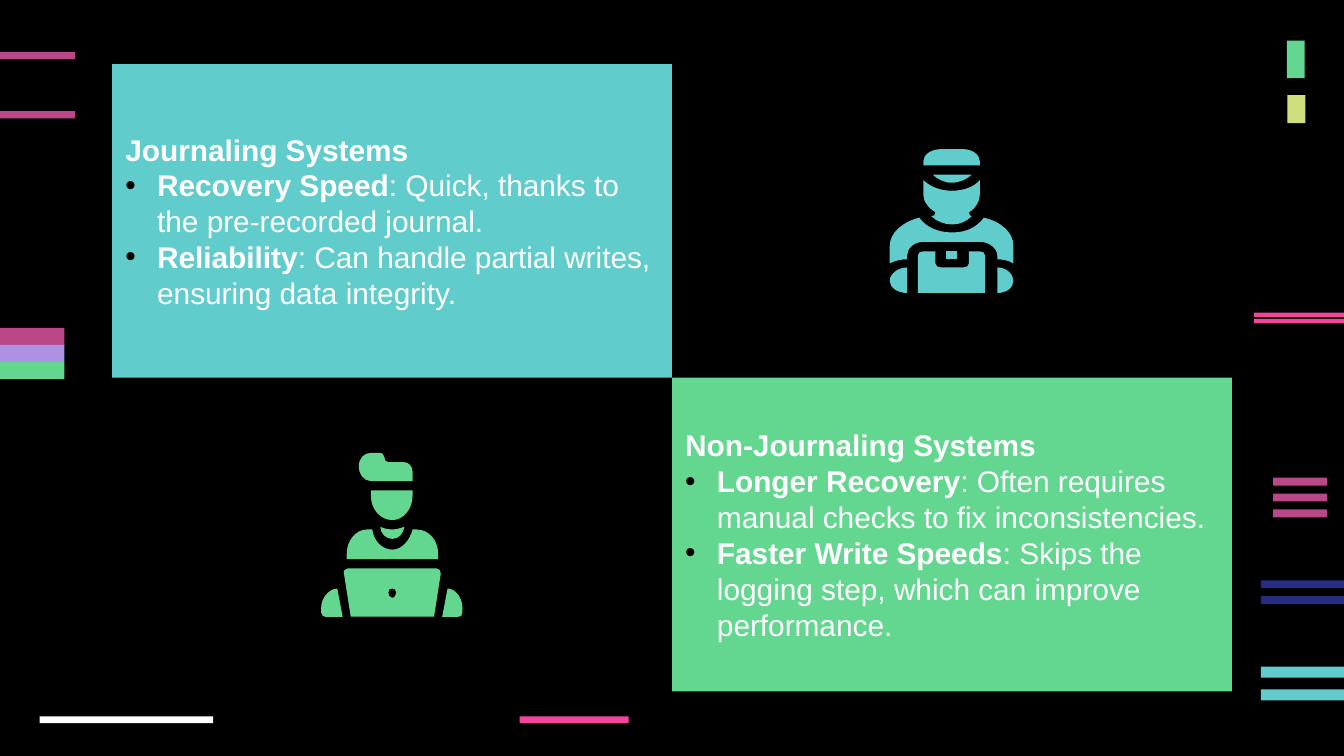
from lxml.etree import SubElement
from pptx import Presentation
from pptx.dml.color import RGBColor
from pptx.enum.shapes import MSO_SHAPE as Preset
from pptx.enum.text import MSO_ANCHOR as Anchor, MSO_AUTO_SIZE as AutoSize
from pptx.oxml.ns import qn
from pptx.util import Cm, Pt

BLACK, WHITE = "000000", "FFFFFF"
TEAL, GREEN, PLUM, PINK = "60CCCB", "63D790", "BA4888", "F6439D"
LILAC, LIME, NAVY = "AC91E5", "D0DF7E", "272B82"

PANEL_WIDTH, PANEL_HEIGHT = 10.58, 5.93
ICON_UNIT = Cm(0.0254)

STRIPES = [
    (24.06, 9.03, 1.02, 0.15, 0.3, [PLUM] * 3),
    (0, 0.98, 1.42, 0.14, 1.12, [PLUM] * 2),
    (9.82, 13.54, 2.06, 0.13, 0, [PINK]),
    (23.83, 12.6, 1.57, 0.21, 0.43, [TEAL] * 2),
    (0, 6.2, 1.22, 0.33, 0.32, [PLUM, LILAC, GREEN]),
    (24.32, 0.77, 0.34, 0.71, 0, [GREEN]),
    (24.33, 1.8, 0.34, 0.53, 0, [LIME]),
    (23.7, 5.91, 1.7, 0.08, 0.12, [PINK] * 2),
    (23.83, 10.97, 1.57, 0.15, 0.3, [NAVY] * 2),
    (0.75, 13.54, 3.28, 0.13, 0, [WHITE]),
]

PANELS = [
    (2.12, 1.21, TEAL, "Journaling Systems", [
        ("Recovery Speed", ": Quick, thanks to the pre-recorded journal."),
        ("Reliability", ": Can handle partial writes, ensuring data integrity."),
    ]),
    (12.7, 7.14, GREEN, "Non-Journaling Systems", [
        ("Longer Recovery", ": Often requires manual checks to fix inconsistencies."),
        ("Faster Write Speeds", ": Skips the logging step, which can improve performance."),
    ]),
]

COURIER = [
    "694 130|697 133 702 136 708 136|714 136 720 133 723 130",
    "687 134|687 145|687 150 691 155 696 158|696 160 695 161 693 161"
    "|697 165 703 167 708 167|708 167 709 167 709 167|714 167 719 165 723 161"
    "|722 161 721 160 721 158|726 155 729 150 729 145|729 134"
    "|725 139 717 142 708 142|700 142 692 139 687 134",
    "700 111|693 111 687 115 687 120|687 123|729 123|729 120|729 115 723 111 717 111",
    "684 162|672 165 662 173 662 183|662 196|666 194 670 193 675 193|675 190"
    "|675 185 680 180 687 180|729 180|736 180 742 185 742 190|742 193"
    "|746 193 751 194 754 196|754 183|754 173 745 165 732 162"
    "|727 169 719 173 709 173|709 173 708 173 708 173|698 173 689 169 684 162",
    "704 187|704 193|712 193|712 187",
    "687 187|685 187 683 188 683 190|683 218|733 218|733 190|733 188 731 187 729 187"
    "|721 187|721 196|721 198 719 199 717 199|700 199|698 199 696 198 696 196|696 187",
    "675 199|668 199 662 204 662 209|662 214 668 218 675 218|675 199",
    "742 199|742 218|749 218 754 214 754 209|754 204 749 199 742 199",
]

PROGRAMMER = [
    "292 438|293 438 295 439 295 441|295 443 293 445 292 445|290 445 289 443 289 441"
    "|289 439 290 438 292 438;"
    "259 423|257 423 255 425 256 427|261 459|323 459|328 427|328 425 327 423 325 423",
    "333 438|329 459|341 459|343 459 344 458 344 456|344 452|344 445 339 438 333 438",
    "251 438|245 438 239 445 239 452|239 456|239 458 241 459 242 459|255 459|251 438",
    "276 337|271 337 267 341 267 347|267 353 271 358 276 358|307 358|307 351"
    "|307 347 304 344 301 344|289 344|287 344 286 342 286 340|286 338 284 337 283 337",
    "276 365|276 369|276 379 283 387 292 387|300 387 307 379 307 369|307 365",
    "283 392|283 392|283 397 287 401 292 401|297 401 300 397 301 392|301 392"
    "|298 393 295 394 292 394|288 394 285 393 283 392",
    "273 394|265 394 258 402 258 412|258 416|326 416|326 412|326 402 319 394 310 394"
    "|307 394|305 402 299 409 292 409|284 409 278 402 277 394",
]


def rgb(code):
    return RGBColor.from_string(code)


def apply_format(target, values):
    for attribute, value in values.items():
        setattr(target, attribute, value)


def paint(element, color):
    element.fill.solid()
    element.fill.fore_color.rgb = rgb(color)
    element.line.fill.background()


def add_stripes(slide, left, top, width, height, pitch, colors):
    for row, color in enumerate(colors):
        stripe = slide.shapes.add_shape(
            Preset.RECTANGLE, Cm(left), Cm(top + row * pitch), Cm(width), Cm(height))
        stripe.shadow.inherit = False
        paint(stripe, color)


def set_bullet(paragraph, bulleted):
    properties = paragraph._p.get_or_add_pPr()
    indent = Cm(0.6) if bulleted else 0
    properties.set("marL", str(indent))
    properties.set("indent", str(-indent))
    if not bulleted:
        SubElement(properties, qn("a:buNone"))
        return
    bullet_color = SubElement(properties, qn("a:buClr"))
    SubElement(bullet_color, qn("a:srgbClr"), val=BLACK)
    SubElement(properties, qn("a:buFont"), typeface="Arial")
    SubElement(properties, qn("a:buChar"), char="•")


def write_paragraph(paragraph, lead, detail=""):
    apply_format(paragraph, {"line_spacing": 1.0, "space_before": Pt(0), "space_after": Pt(0)})
    set_bullet(paragraph, bool(detail))
    for words, bold in ((lead, True), (detail, False)):
        if words:
            run = paragraph.add_run()
            run.text = words
            apply_format(run.font, {"name": "Arial", "size": Pt(16), "bold": bold})
            run.font.color.rgb = rgb(WHITE)


def fill_panel(panel, left, top, color, heading, points):
    apply_format(panel, {"left": Cm(left), "top": Cm(top),
                         "width": Cm(PANEL_WIDTH), "height": Cm(PANEL_HEIGHT)})
    paint(panel, color)
    frame = panel.text_frame
    margins = {f"margin_{side}": Cm(0.25) for side in ("left", "top", "right", "bottom")}
    apply_format(frame, {"word_wrap": True, "auto_size": AutoSize.NONE,
                         "vertical_anchor": Anchor.MIDDLE, **margins})
    write_paragraph(frame.paragraphs[0], heading)
    for lead, detail in points:
        write_paragraph(frame.add_paragraph(), lead, detail)


def segment_points(segment):
    numbers = [int(number) for number in segment.split()]
    return list(zip(numbers[::2], numbers[1::2]))


def bend_curves(part, segments):
    lines = iter(list(part._element.iter(qn("a:lnTo"))))
    for points in segments:
        first, *others = [next(lines) for _ in points]
        if others:
            first.tag = qn("a:cubicBezTo")
        for line in others:
            first.append(line[0])
            line.getparent().remove(line)


def add_outline(icon, outline, color):
    contours = [[segment_points(segment) for segment in contour.split("|")]
                for contour in outline.split(";")]
    builder = icon.shapes.build_freeform(*contours[0][0][0], scale=ICON_UNIT)
    for index, (start, *segments) in enumerate(contours):
        if index:
            builder.move_to(*start[0])
        builder.add_line_segments(sum(segments, []), close=True)
    part = builder.convert_to_shape()
    bend_curves(part, [segment for contour in contours for segment in contour[1:]])
    part.shadow.inherit = False
    paint(part, color)


def add_icon(slide, outlines, color):
    icon = slide.shapes.add_group_shape()
    for outline in outlines:
        add_outline(icon, outline, color)


def main():
    deck = Presentation()
    apply_format(deck, {"slide_width": Cm(25.4), "slide_height": Cm(14.29)})
    slide = deck.slides.add_slide(deck.slide_layouts[3])
    slide.background.fill.solid()
    slide.background.fill.fore_color.rgb = rgb(BLACK)
    title, *bodies = list(slide.placeholders)
    title.element.getparent().remove(title.element)
    for stripes in STRIPES:
        add_stripes(slide, *stripes)
    for body, panel in zip(bodies, PANELS):
        fill_panel(body, *panel)
    add_icon(slide, COURIER, TEAL)
    add_icon(slide, PROGRAMMER, GREEN)
    deck.save("out.pptx")


if __name__ == "__main__":
    main()
